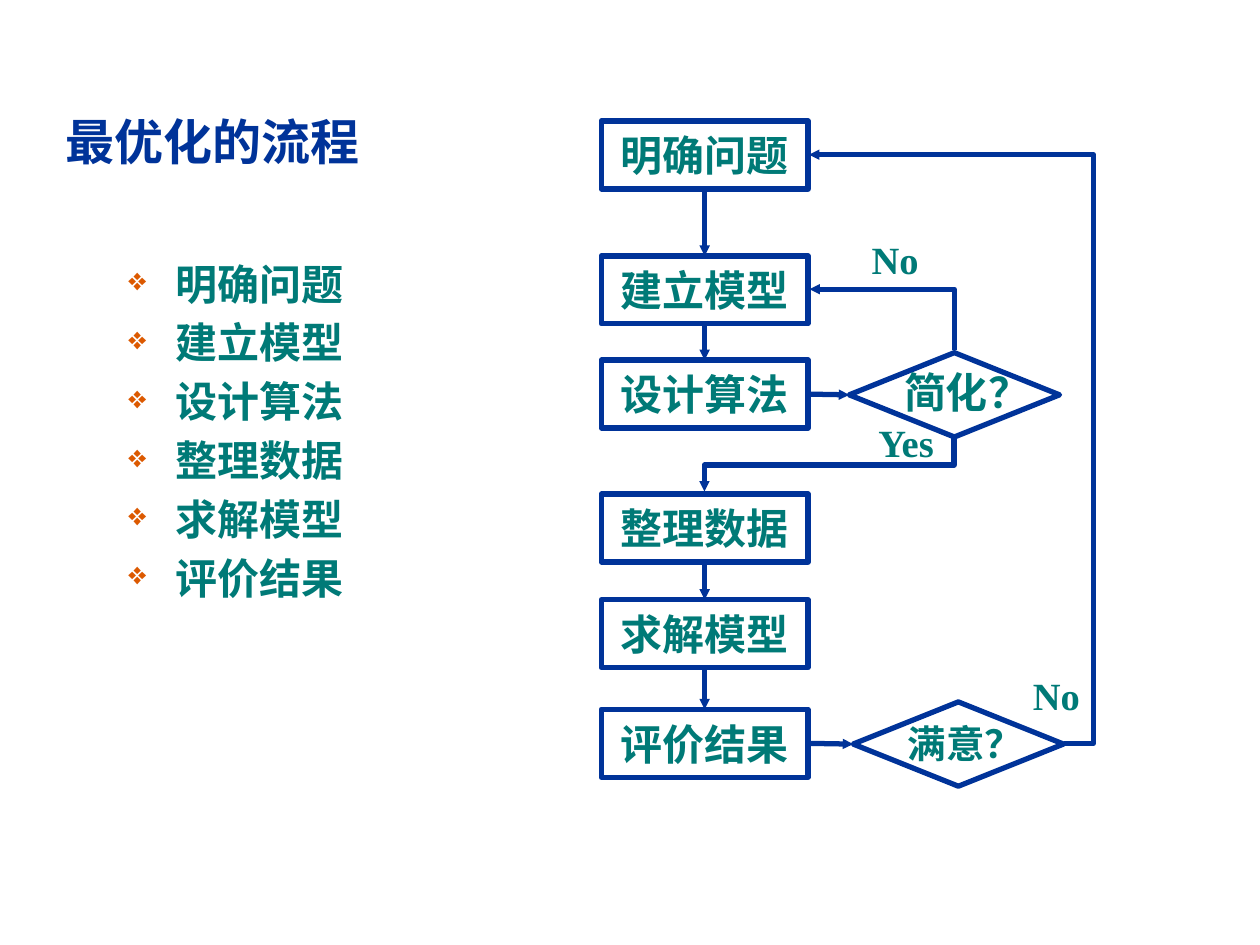
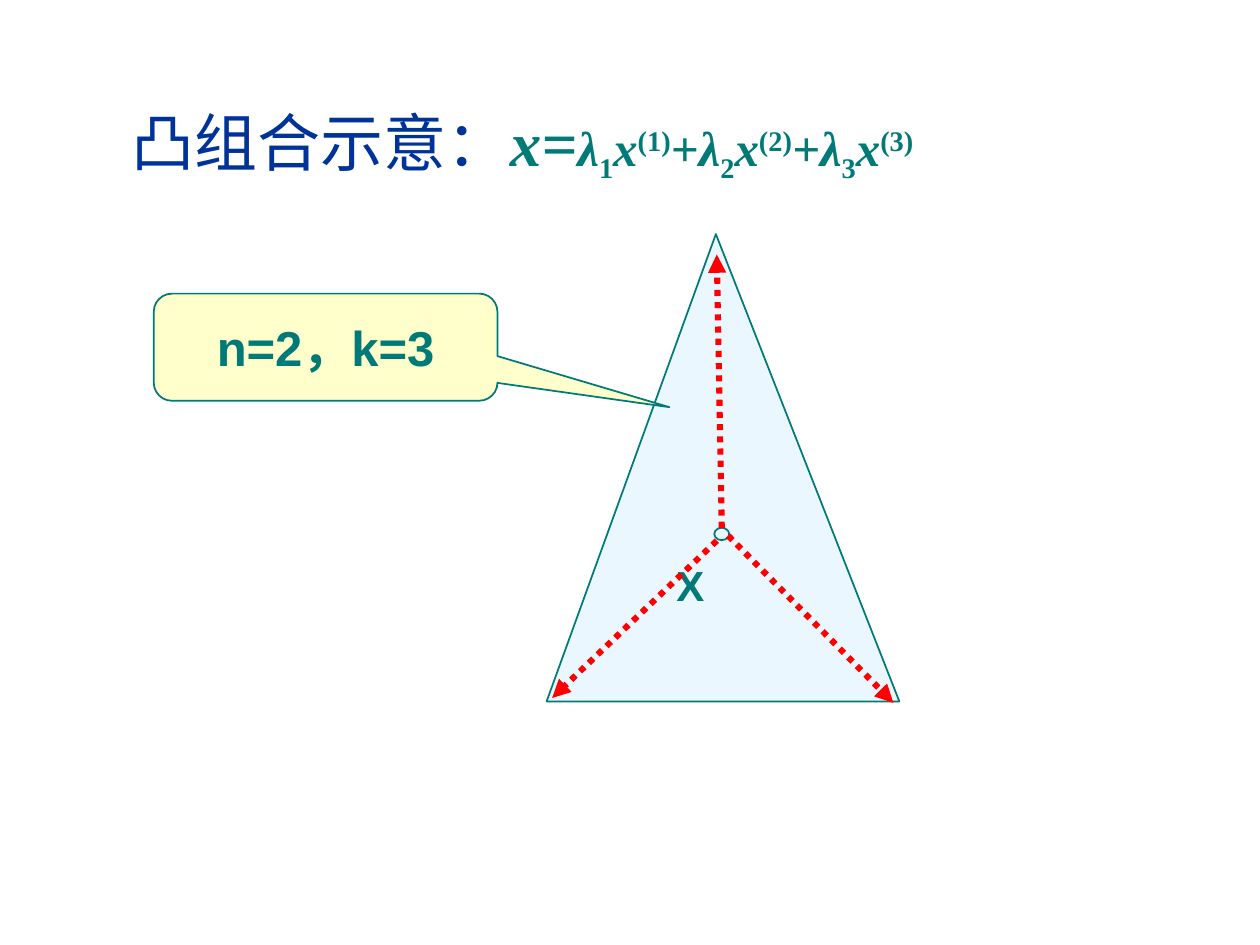
import lxml.etree
import pptx
import pptx.dml.color
import pptx.enum.dml
import pptx.enum.shapes
import pptx.enum.text
import pptx.oxml.ns
import pptx.util

Cm = pptx.util.Cm
Pt = pptx.util.Pt
qn = pptx.oxml.ns.qn
rgb = pptx.dml.color.RGBColor.from_string
SHAPE = pptx.enum.shapes.MSO_SHAPE
CONNECTOR = pptx.enum.shapes.MSO_CONNECTOR
MIDDLE = pptx.enum.text.MSO_ANCHOR.MIDDLE
CENTER = pptx.enum.text.PP_ALIGN.CENTER

NAVY, TEAL, ORANGE, RED = "003399", "007A77", "DC5900", "FF0000"
PALE_BLUE, PALE_YELLOW = "EBF7FF", "FFFFCC"
SANS, SERIF, CJK = "Arial", "Times New Roman", "Noto Sans CJK SC"
TOP, LEFT, BOTTOM, RIGHT = range(4)


def add_run(paragraph, text, size, font, color=TEAL, bold=True, italic=False, baseline=0):
    run = paragraph.add_run()
    run.text = text
    run.font.size = Pt(size)
    run.font.name = font
    run.font.bold = bold
    run.font.italic = italic
    run.font.color.rgb = rgb(color)
    properties = run.font._element
    if baseline:
        properties.set("baseline", str(baseline * 1000))
    lxml.etree.SubElement(properties, qn("a:ea"), typeface=CJK)


def style_arrow(arrow, color, width, head, dash=None):
    arrow.line.color.rgb = rgb(color)
    arrow.line.width = Pt(width)
    if dash:
        arrow.line.dash_style = dash
    lxml.etree.SubElement(arrow.line._get_or_add_ln(), qn("a:tailEnd"),
                          type="triangle", w=head, len=head)
    lxml.etree.SubElement(arrow._element.spPr, qn("a:effectLst"))


deck = pptx.Presentation()
deck.slide_width = Cm(25.4)
deck.slide_height = Cm(19.05)
blank = deck.slide_layouts[6]

process = deck.slides.add_slide(blank)
heading = process.shapes.add_textbox(Cm(1.07), Cm(1.9), Cm(10.8), Cm(1.9)).text_frame
heading.word_wrap = True
heading.vertical_anchor = MIDDLE
add_run(heading.paragraphs[0], "最优化的流程", 28, SANS, NAVY)

steps = ["明确问题", "建立模型", "设计算法", "整理数据", "求解模型", "评价结果"]
step_tops = [2.44, 5.16, 7.26, 9.96, 12.09, 14.3]
step_boxes = []
for step, top in zip(steps, step_tops):
    box = process.shapes.add_shape(SHAPE.RECTANGLE, Cm(12.12), Cm(top), Cm(4.17), Cm(1.37))
    box.text_frame.vertical_anchor = MIDDLE
    box.text_frame.paragraphs[0].alignment = CENTER
    add_run(box.text_frame.paragraphs[0], step, 24, SERIF)
    step_boxes.append(box)
define, model, design, data, solve, evaluate = step_boxes

simplify, satisfied = [
    process.shapes.add_shape(SHAPE.FLOWCHART_DECISION, Cm(left), Cm(top), Cm(4.24), Cm(1.7))
    for left, top in [(17.12, 7.11), (17.2, 14.15)]]

for node in step_boxes + [simplify, satisfied]:
    node.shadow.inherit = False
    node.fill.background()
    node.line.color.rgb = rgb(NAVY)
    node.line.width = Pt(3)

for start, start_side, end, end_side in [
        (define, BOTTOM, model, TOP), (model, BOTTOM, design, TOP),
        (design, RIGHT, simplify, LEFT), (data, BOTTOM, solve, TOP),
        (solve, BOTTOM, evaluate, TOP), (evaluate, RIGHT, satisfied, LEFT)]:
    flow = process.shapes.add_connector(CONNECTOR.STRAIGHT, 0, 0, 0, 0)
    flow.begin_connect(start, start_side)
    flow.end_connect(end, end_side)
    style_arrow(flow, NAVY, 3, "sm")

for x1, y1, x2, y2, rotation, preset, bend in [
        (16.18, 6.86, 17.25, 11.89, 90, "bentConnector3", 50000),
        (21.46, 14.99, 16.31, 3.12, 0, "bentConnector3", -11300),
        (18.39, 4.98, 17.17, 7.9, 90, "bentConnector2", None)]:
    branch = process.shapes.add_connector(CONNECTOR.ELBOW, Cm(x1), Cm(y1), Cm(x2), Cm(y2))
    branch._element.spPr.find(qn("a:xfrm")).set("rot", str(rotation * 60000))
    geometry = branch._element.spPr.find(qn("a:prstGeom"))
    geometry.set("prst", preset)
    if bend is not None:
        lxml.etree.SubElement(geometry.find(qn("a:avLst")), qn("a:gd"),
                              name="adj1", fmla=f"val {bend}")
    style_arrow(branch, NAVY, 3, "sm")

for label, left, top, width, height, size in [
        ("简化？", 17.96, 7.26, 3.07, 1.27, 24), ("满意？", 17.93, 14.35, 3.07, 1.27, 22),
        ("Yes", 17.4, 8.31, 1.73, 1.19, 22), ("No", 17.32, 4.62, 1.45, 1.19, 22),
        ("No", 20.57, 13.41, 1.45, 1.19, 22)]:
    caption = process.shapes.add_textbox(Cm(left), Cm(top), Cm(width), Cm(height)).text_frame
    caption.word_wrap = False
    caption.vertical_anchor = MIDDLE
    caption.paragraphs[0].alignment = CENTER
    add_run(caption.paragraphs[0], label, size, SERIF)

outline = process.shapes.add_textbox(Cm(2.34), Cm(5.08), Cm(5.28), Cm(11.63)).text_frame
outline.word_wrap = True
for index, step in enumerate(steps):
    item = outline.add_paragraph() if index else outline.paragraphs[0]
    item.line_spacing = Pt(28.8)
    item.space_before = Pt(4.8)
    layout = item._p.get_or_add_pPr()
    layout.set("marL", str(Cm(0.95)))
    layout.set("indent", str(Cm(-0.95)))
    bullet_color = lxml.etree.SubElement(layout, qn("a:buClr"))
    lxml.etree.SubElement(bullet_color, qn("a:srgbClr"), val=ORANGE)
    lxml.etree.SubElement(layout, qn("a:buSzPct"), val="75000")
    lxml.etree.SubElement(layout, qn("a:buChar"), char="❖")
    add_run(item, step, 24, SANS)

convex = deck.slides.add_slide(blank)
formula = convex.shapes.add_textbox(Cm(2.41), Cm(1.96), Cm(17.22), Cm(2.18)).text_frame
formula.word_wrap = True
equation = formula.paragraphs[0]
add_run(equation, "凸组合示意：", 36, CJK, NAVY, bold=False)
add_run(equation, "x=", 36, SERIF, italic=True)
for number, weight in enumerate(["λ", "+λ", "+λ"], 1):
    add_run(equation, weight, 28, SERIF, italic=True)
    add_run(equation, str(number), 28, SERIF, baseline=-25)
    add_run(equation, "x", 28, SERIF, italic=True)
    add_run(equation, f"({number})", 28, SERIF, baseline=30)

triangle = convex.shapes.add_shape(
    SHAPE.ISOSCELES_TRIANGLE, Cm(11.02), Cm(4.72), Cm(7.11), Cm(9.42))
triangle.adjustments[0] = 0.48
triangle.text_frame.margin_right = Cm(1.42)
point = convex.shapes.add_shape(SHAPE.OVAL, Cm(14.4), Cm(10.64), Cm(0.3), Cm(0.25))

for x1, y1, x2, y2 in [(14.45, 10.9, 11.13, 14.07), (14.68, 10.8, 18.01, 14.17),
                       (14.55, 10.64, 14.45, 5.13)]:
    ray = convex.shapes.add_connector(CONNECTOR.STRAIGHT, Cm(x1), Cm(y1), Cm(x2), Cm(y2))
    style_arrow(ray, RED, 3.5, "med", pptx.enum.dml.MSO_LINE.ROUND_DOT)

callout = convex.shapes.add_shape(
    SHAPE.ROUNDED_RECTANGULAR_CALLOUT, Cm(3.1), Cm(5.92), Cm(6.93), Cm(2.16))
for index, adjustment in enumerate([1.0, 0.56, 0.17]):
    callout.adjustments[index] = adjustment

for figure, fill in [(triangle, PALE_BLUE), (point, PALE_BLUE), (callout, PALE_YELLOW)]:
    figure.shadow.inherit = False
    figure.fill.solid()
    figure.fill.fore_color.rgb = rgb(fill)
    figure.line.color.rgb = rgb(TEAL)
    figure.line.width = Pt(1)

for figure, text, size in [(triangle, "X", 24), (callout, "n=2，k=3", 28)]:
    figure.text_frame.word_wrap = False
    figure.text_frame.vertical_anchor = MIDDLE
    figure.text_frame.paragraphs[0].alignment = CENTER
    add_run(figure.text_frame.paragraphs[0], text, size, SANS)

deck.save("out.pptx")
